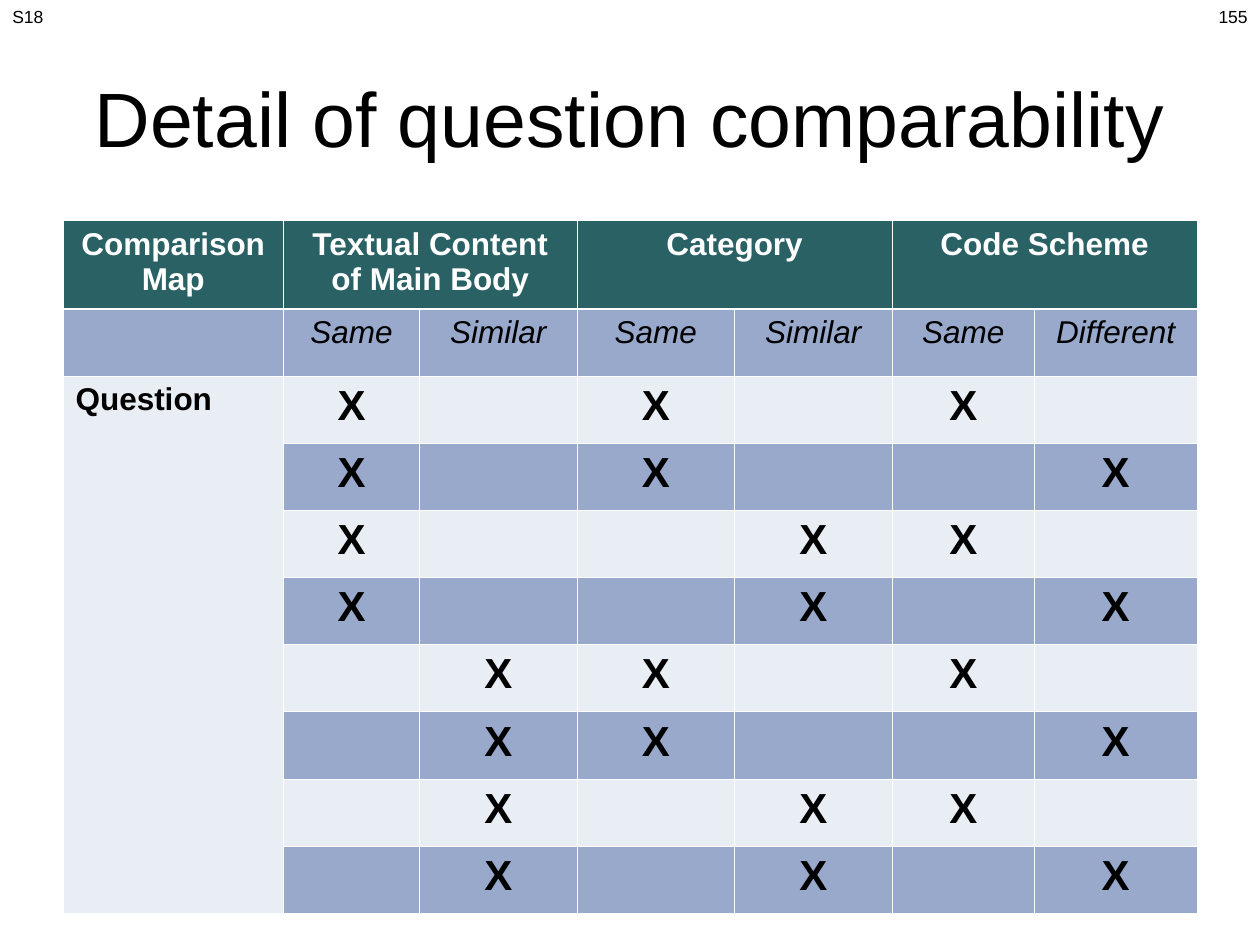
"""Build the question comparability slide with its comparison table."""
import dataclasses
import itertools

import lxml.etree
import pptx
import pptx.dml.color
import pptx.enum.text
import pptx.oxml.ns
import pptx.slide
import pptx.table
import pptx.text.text
import pptx.util

Inches = pptx.util.Inches
RGBColor = pptx.dml.color.RGBColor
Align = pptx.enum.text.PP_ALIGN

BLACK = RGBColor(0x00, 0x00, 0x00)
WHITE = RGBColor(0xFF, 0xFF, 0xFF)
TEAL = RGBColor(0x29, 0x61, 0x65)
BLUE = RGBColor(0x98, 0xA9, 0xCC)
PALE = RGBColor(0xE9, 0xED, 0xF4)

FONT = "Arial"
THIN, THICK = 0.45, 1.47
COLUMN_WIDTHS = (1.75, 1.08, 1.25, 1.25, 1.25, 1.13, 1.29)
TABLE_HEIGHT, HEADING_HEIGHT = 5.5, 0.7


@dataclasses.dataclass(frozen=True)
class TextStyle:
    size: float
    color: RGBColor = BLACK
    bold: bool = False
    italic: bool = False
    align: Align = Align.CENTER


@dataclasses.dataclass(frozen=True)
class Criterion:
    heading: str
    options: tuple[str, str]


@dataclasses.dataclass(frozen=True)
class CornerLabel:
    text: str
    left: float
    align: Align


TITLE = TextStyle(44)
HEADING = TextStyle(18, WHITE, bold=True)
OPTION = TextStyle(18, italic=True)
ROW_LABEL = TextStyle(18, bold=True, align=Align.LEFT)
MARK = TextStyle(24, bold=True)

CRITERIA = (
    Criterion("Textual Content of Main Body", ("Same", "Similar")),
    Criterion("Category", ("Same", "Similar")),
    Criterion("Code Scheme", ("Same", "Different")),
)
CORNER_LABELS = (
    CornerLabel("S18", 0, Align.LEFT),
    CornerLabel("155", 7.67, Align.RIGHT),
)


def write(frame: pptx.text.text.TextFrame, text: str, style: TextStyle) -> None:
    frame.text = text
    para = frame.paragraphs[0]
    para.alignment = style.align
    for span in para.runs:
        span.font.name = FONT
        span.font.size = pptx.util.Pt(style.size)
        span.font.bold = style.bold
        span.font.italic = style.italic
        span.font.color.rgb = style.color


def paint_cell(cell: pptx.table._Cell, fill: RGBColor, top: float, bottom: float) -> None:
    properties = cell._tc.get_or_add_tcPr()
    qn = pptx.oxml.ns.qn
    for side, width in (("L", THIN), ("R", THIN), ("T", top), ("B", bottom)):
        line = lxml.etree.SubElement(properties, qn(f"a:ln{side}"), w=str(pptx.util.Pt(width)))
        solid = lxml.etree.SubElement(line, qn("a:solidFill"))
        lxml.etree.SubElement(solid, qn("a:srgbClr"), val=str(WHITE))
    cell.fill.solid()
    cell.fill.fore_color.rgb = fill


def add_comparison_table(page: pptx.slide.Slide) -> None:
    combinations = list(itertools.product((0, 1), repeat=len(CRITERIA)))
    row_count = len(combinations) + 2
    frame = page.shapes.add_table(
        row_count, len(COLUMN_WIDTHS),
        Inches(0.5), Inches(1.75), Inches(9), Inches(TABLE_HEIGHT),
    )
    table = frame.table
    for column, width in zip(table.columns, COLUMN_WIDTHS):
        column.width = Inches(width)
    for row in table.rows:
        row.height = Inches((TABLE_HEIGHT - HEADING_HEIGHT) / (row_count - 1))
    table.rows[0].height = Inches(HEADING_HEIGHT)

    for row, column in itertools.product(range(row_count), range(len(COLUMN_WIDTHS))):
        if row == 0:
            fill = TEAL
        elif row > 1 and (column == 0 or row % 2 == 0):
            fill = PALE
        else:
            fill = BLUE
        paint_cell(
            table.cell(row, column), fill,
            THICK if row == 1 else THIN, THICK if row == 0 else THIN,
        )

    write(table.cell(0, 0).text_frame, "Comparison Map", HEADING)
    table.cell(2, 0).merge(table.cell(row_count - 1, 0))
    write(table.cell(2, 0).text_frame, "Question", ROW_LABEL)
    for index, criterion in enumerate(CRITERIA):
        first = 1 + 2 * index
        table.cell(0, first).merge(table.cell(0, first + 1))
        write(table.cell(0, first).text_frame, criterion.heading, HEADING)
        for offset, option in enumerate(criterion.options):
            write(table.cell(1, first + offset).text_frame, option, OPTION)
        for row, choices in enumerate(combinations, start=2):
            write(table.cell(row, first + choices[index]).text_frame, "X", MARK)


def add_corner_label(page: pptx.slide.Slide, label: CornerLabel) -> None:
    box = page.shapes.add_textbox(Inches(label.left), 0, Inches(2.33), Inches(0.52))
    box.text_frame.word_wrap = True
    write(box.text_frame, label.text, TextStyle(10, align=label.align))


def main() -> None:
    deck = pptx.Presentation()
    deck.slide_width, deck.slide_height = Inches(10), Inches(7.5)
    page = deck.slides.add_slide(deck.slide_layouts.get_by_name("Title Only"))
    title = page.shapes.title
    title.left, title.top = Inches(0.5), Inches(0.3)
    title.width, title.height = Inches(9), Inches(1.25)
    title.text_frame.vertical_anchor = pptx.enum.text.MSO_ANCHOR.MIDDLE
    write(title.text_frame, "Detail of question comparability", TITLE)
    add_comparison_table(page)
    for label in CORNER_LABELS:
        add_corner_label(page, label)
    deck.save("out.pptx")


if __name__ == "__main__":
    main()
